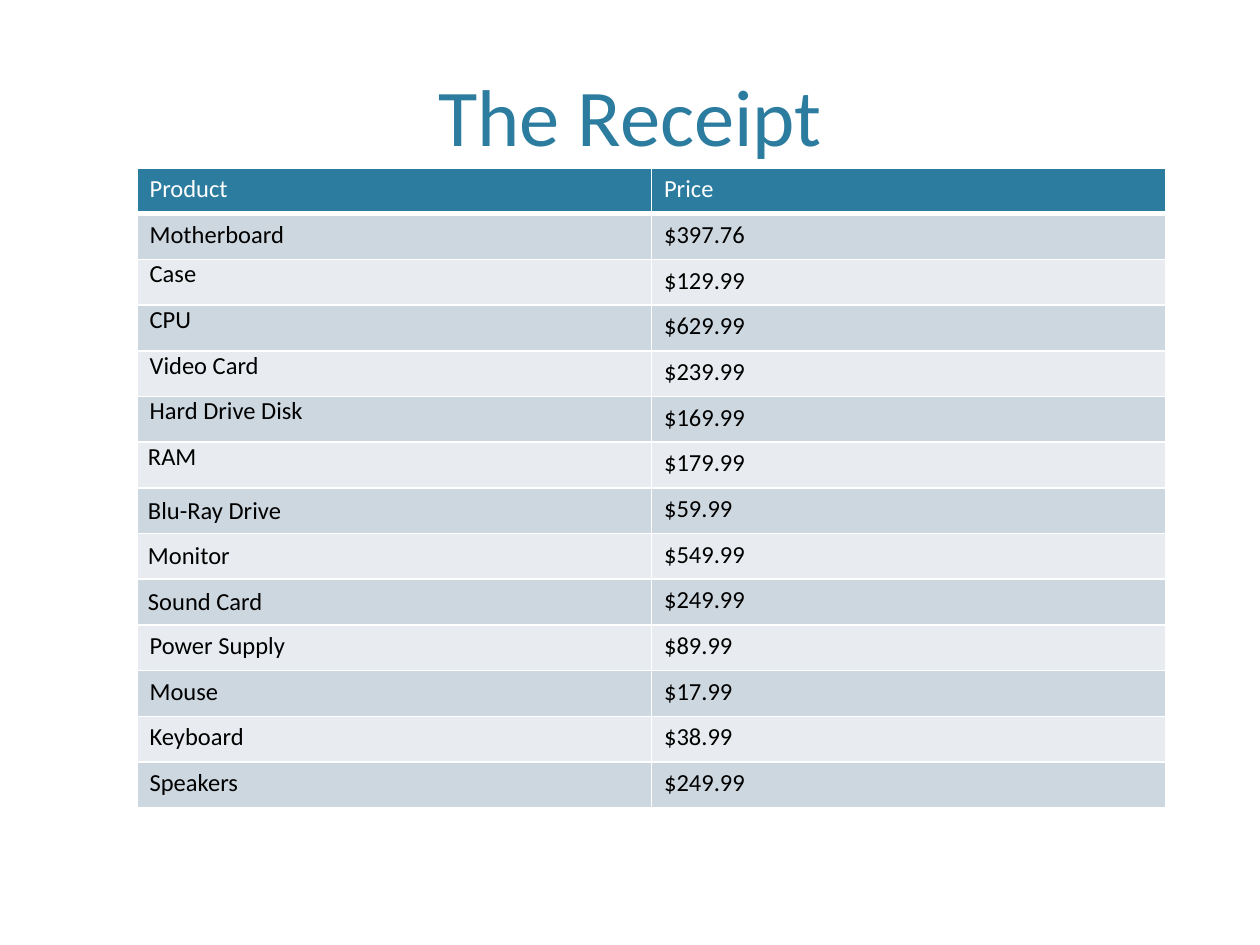
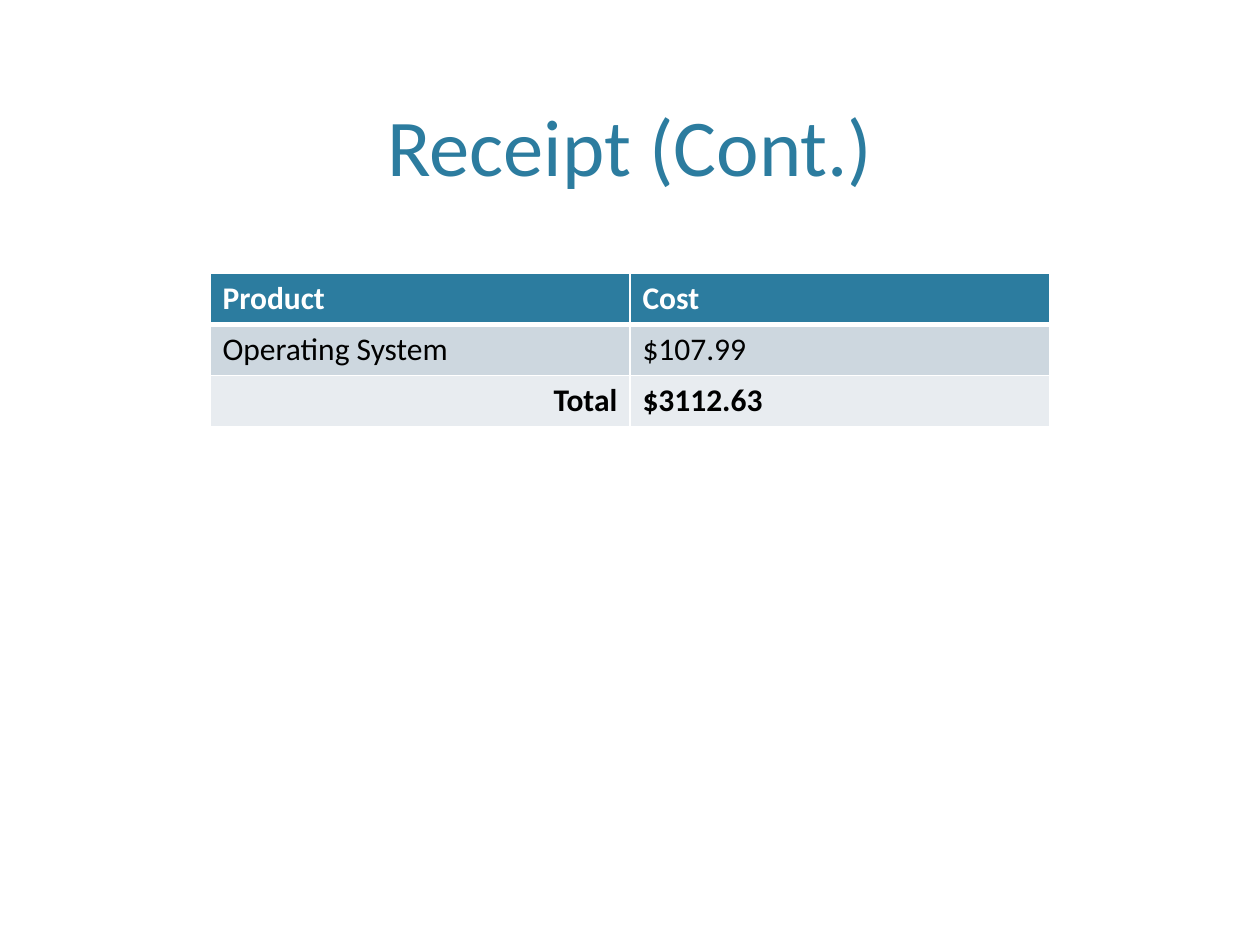
"""Build the two receipt slides: a title and a price table on each."""
from lxml.etree import SubElement
from pptx import Presentation
from pptx.dml.color import RGBColor
from pptx.enum.text import MSO_ANCHOR, PP_ALIGN
from pptx.oxml import parse_xml
from pptx.oxml.ns import nsdecls, qn
from pptx.util import Pt

PX = 914400 / 126
FONT = "Calibri"
COLORS = {"accent": "2C7C9F", "header_text": "FFFFFF", "border": "FFFFFF",
          "text": "000000", "odd_row": "CDD7DF", "even_row": "E8ECF0"}
TITLE = {"left": 76, "top": 15, "width": 1108}

PLAIN = {}
RAISED = {"margin_top": 0, "margin_bottom": 0}
TIGHT = {"margin_left": 11, "margin_right": 0, "margin_top": 0, "margin_bottom": 0}
MIDDLE = {**TIGHT, "anchor": MSO_ANCHOR.MIDDLE}

RECEIPTS = [
    {
        "title": "The Receipt", "title_height": 154,
        "table_box": (137, 168, 1029, 640),
        "size": 14, "bold_rows": (),
        "rows": [
            ("Product", "Price", PLAIN),
            ("Motherboard", "$397.76", PLAIN),
            ("Case", "$129.99", RAISED),
            ("CPU", "$629.99", RAISED),
            ("Video Card", "$239.99", RAISED),
            ("Hard Drive Disk", "$169.99", RAISED),
            ("RAM", "$179.99", TIGHT),
            ("Blu-Ray Drive", "$59.99", MIDDLE),
            ("Monitor", "$549.99", MIDDLE),
            ("Sound Card", "$249.99", MIDDLE),
            ("Power Supply", "$89.99", PLAIN),
            ("Mouse", "$17.99", PLAIN),
            ("Keyboard", "$38.99", PLAIN),
            ("Speakers", "$249.99", PLAIN),
        ],
    },
    {
        "title": "Receipt (Cont.)", "title_height": 184,
        "table_box": (210, 273, 840, 154),
        "size": 18, "bold_rows": (0, 2),
        "rows": [
            ("Product", "Cost", PLAIN),
            ("Operating System", "$107.99", PLAIN),
            ("Total", "$3112.63", {"align": PP_ALIGN.RIGHT}),
        ],
    },
]


def px(*lengths):
    """Turn pixel lengths into EMU."""
    return [round(length * PX) for length in lengths]


def write(frame, text, size, color, bold=False, align=PP_ALIGN.LEFT):
    """Put formatted text into a text frame."""
    paragraph = frame.paragraphs[0]
    paragraph.alignment = align
    run = paragraph.add_run()
    run.text = text
    run.font.name = FONT
    run.font.size = Pt(size)
    run.font.bold = bold
    run.font.color.rgb = RGBColor.from_string(COLORS[color])


def set_borders(cell, top, bottom):
    """Draw the four cell borders, widths in points."""
    properties = cell._tc.get_or_add_tcPr()
    widths = {"lnL": 1, "lnR": 1, "lnT": top, "lnB": bottom}
    for position, (side, width) in enumerate(widths.items()):
        line = parse_xml(f'<a:{side} {nsdecls("a")} w="{Pt(width)}"/>')
        fill = SubElement(line, qn("a:solidFill"))
        SubElement(fill, qn("a:srgbClr"), val=COLORS["border"])
        properties.insert(position, line)


def add_title(slide, text, height):
    """Add the centred slide title, resting on the bottom of its box."""
    box = slide.shapes.add_textbox(*px(TITLE["left"], TITLE["top"], TITLE["width"], height))
    box.text_frame.word_wrap = True
    box.text_frame.vertical_anchor = MSO_ANCHOR.BOTTOM
    write(box.text_frame, text, 46, "accent", align=PP_ALIGN.CENTER)


def add_receipt(slide, rows, box, size, bold_rows):
    """Add the banded table of products and prices."""
    table = slide.shapes.add_table(len(rows), 2, *px(*box)).table
    for row, (product, price, product_format) in enumerate(rows):
        band = "accent" if row == 0 else "odd_row" if row % 2 else "even_row"
        color = "text" if row else "header_text"
        for column, (text, style) in enumerate([(product, product_format), (price, PLAIN)]):
            cell = table.cell(row, column)
            cell.fill.solid()
            cell.fill.fore_color.rgb = RGBColor.from_string(COLORS[band])
            set_borders(cell, top=3 if row == 1 else 1, bottom=3 if row == 0 else 1)
            cell.vertical_anchor = style.get("anchor", MSO_ANCHOR.TOP)
            for side in ("margin_left", "margin_right", "margin_top", "margin_bottom"):
                if side in style:
                    setattr(cell, side, px(style[side])[0])
            write(cell.text_frame, text, size, color, bold=row in bold_rows,
                  align=style.get("align", PP_ALIGN.LEFT))


def main():
    """Build and save the presentation."""
    deck = Presentation()
    deck.slide_width, deck.slide_height = px(1260, 945)
    for receipt in RECEIPTS:
        slide = deck.slides.add_slide(deck.slide_layouts[6])
        add_title(slide, receipt["title"], receipt["title_height"])
        add_receipt(slide, receipt["rows"], receipt["table_box"],
                    receipt["size"], receipt["bold_rows"])
    deck.save("out.pptx")


if __name__ == "__main__":
    main()
